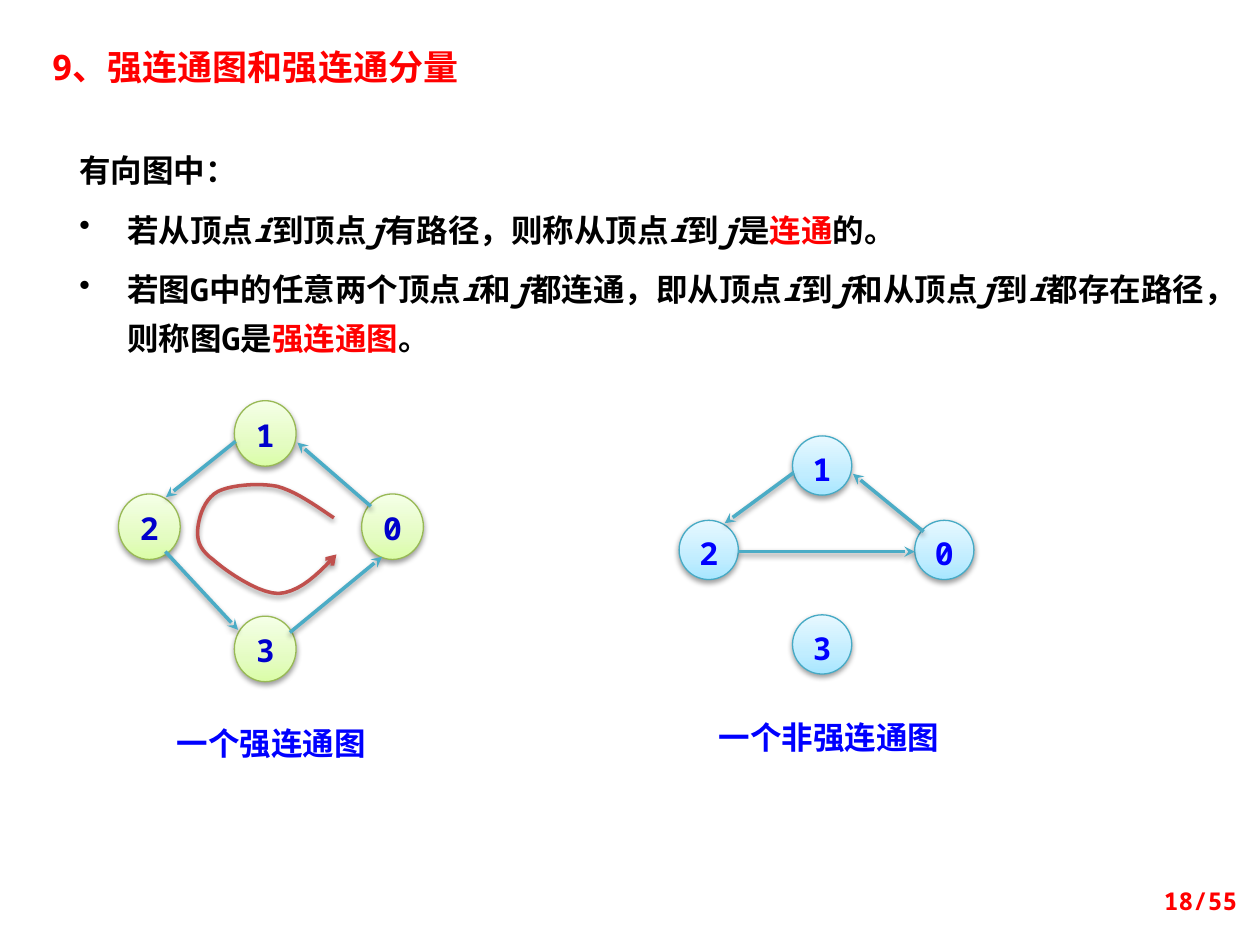
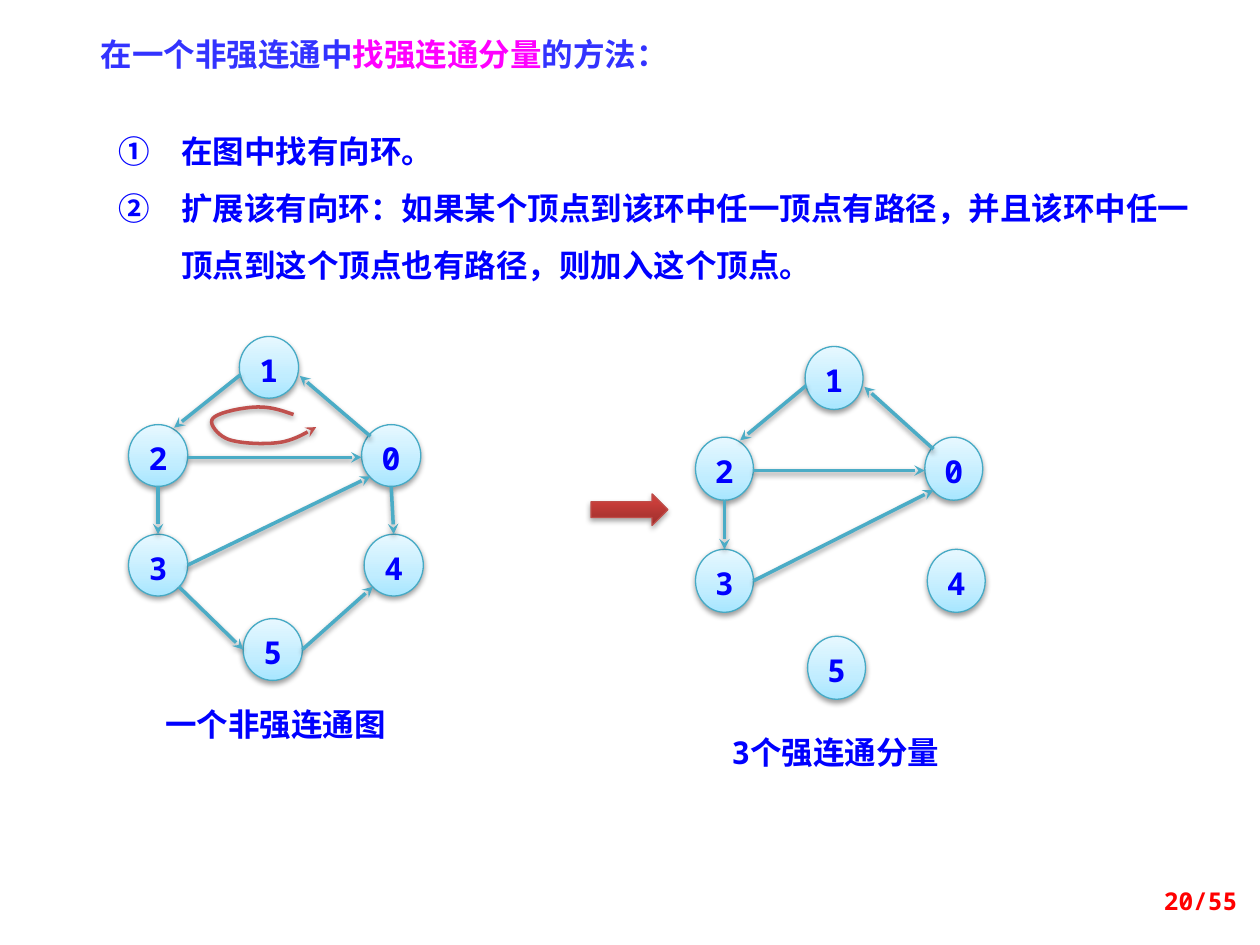
"""Build two slides about strongly connected graphs and their components."""
from copy import deepcopy

from lxml import etree
from pptx import Presentation
from pptx.dml.color import RGBColor
from pptx.enum.shapes import MSO_CONNECTOR, MSO_SHAPE
from pptx.enum.text import MSO_ANCHOR, MSO_AUTO_SIZE, PP_ALIGN
from pptx.oxml.ns import qn
from pptx.util import Inches, Pt

OVAL, RIGHT_ARROW = MSO_SHAPE.OVAL, MSO_SHAPE.RIGHT_ARROW
STRAIGHT = MSO_CONNECTOR.STRAIGHT
TOP, MIDDLE = MSO_ANCHOR.TOP, MSO_ANCHOR.MIDDLE
LEFT, CENTER, RIGHT = PP_ALIGN.LEFT, PP_ALIGN.CENTER, PP_ALIGN.RIGHT

MONO, SANS, SANS_JP, SERIF = "Noto Sans Mono", "Noto Sans CJK SC", "Noto Sans CJK JP", "Times New Roman"
RED, BLUE, BLACK, WHITE = "FF0000", "0000FF", "000000", "FFFFFF"
TEAL, BRICK = "4BACC6", "C0504D"

GREEN_NODE = {"stops": [(0, "DAFDA7"), (0.35, "E4FCC2"), (1, "F5FFE7")], "outline": "98B955", "ink": "0000CC"}
BLUE_NODE = {"stops": [(0, "A7E6FF"), (0.35, "C1EDFF"), (1, "E7F8FF")], "outline": "46AAC5", "ink": BLUE}
BRICK_STOPS = [(0, "9C2F2D"), (0.8, "CB3E3A"), (1, "CE3B37")]

# Each edge leaves and enters at fractions of its nodes' width and height.
TRIANGLE = {"12": ((0.02, 0.62), (0.77, 0.05)), "01": ((0.15, 0.19), (1.02, 0.64)),
            "20": ((1, 0.53), (0, 0.53))}
DIAMOND = {"12": TRIANGLE["12"], "01": TRIANGLE["01"],
           "23": ((0.76, 0.88), (0.06, 0.21)), "30": ((0.9, 0.25), (0.33, 0.96))}
COMPONENTS = TRIANGLE | {"23": ((0.5, 1), (0.5, 0)), "30": ((1, 0.5), (0.15, 0.84))}
SIX_NODES = COMPONENTS | {"35": ((0.85, 0.85), (0, 0.5)), "04": ((0.5, 1), (0.5, 0)),
                          "54": ((1, 0.5), (0.15, 0.85))}


def rgb(hex_code):
    """Turn a hex string into a colour."""
    return RGBColor.from_string(hex_code)


def add_shadow(shape, alpha=38, distance=20000):
    """Give a shape or connector a soft shadow straight below."""
    properties = shape._element.spPr
    for effects in properties.findall(qn("a:effectLst")):
        properties.remove(effects)
    effects = etree.SubElement(properties, qn("a:effectLst"))
    shadow = etree.SubElement(effects, qn("a:outerShdw"), blurRad="40000", dist=str(distance),
                              dir="5400000", rotWithShape="0")
    shade = etree.SubElement(shadow, qn("a:srgbClr"), val=BLACK)
    etree.SubElement(shade, qn("a:alpha"), val=str(alpha * 1000))


def fill_gradient(shape, stops, outline):
    """Fill a shape from bottom to top with three colours and outline it."""
    shape.fill.gradient()
    shape.fill.gradient_angle = 90
    stop_list = shape._element.spPr.find(".//" + qn("a:gsLst"))
    stop_list.append(deepcopy(stop_list[0]))
    for stop, (position, color) in zip(shape.fill.gradient_stops, stops):
        stop.position = position
        stop.color.rgb = rgb(color)
    shape.line.color.rgb = rgb(outline)
    shape.line.width = Pt(0.75)


def draw_line(shape, color, arrow):
    """Style a line, its arrowhead and its shadow."""
    shape.line.color.rgb = rgb(color)
    shape.line.width = Pt(2)
    etree.SubElement(shape.line._get_or_add_ln(), qn("a:tailEnd"), type=arrow)
    add_shadow(shape)


def set_bullet(paragraph, bullet, indent):
    """Hang a paragraph behind a bullet character or a circled number."""
    properties = paragraph._p.get_or_add_pPr()
    properties.set("marL", str(Inches(indent)))
    properties.set("indent", str(-Inches(indent)))
    if bullet == "•":
        etree.SubElement(properties, qn("a:buChar"), char=bullet)
    else:
        etree.SubElement(properties, qn("a:buAutoNum"), type=bullet)


def write(paragraph, text, size=18, font=MONO, color=BLACK, align=LEFT, accent=RED, accent_font=None):
    """Write text split at bars: i and j become italic, a star marks the accent."""
    paragraph.alignment = align
    style = paragraph.font
    style.size, style.bold, style.name = Pt(size), True, font
    style.color.rgb = rgb(color)
    etree.SubElement(style._element, qn("a:ea"), typeface=SANS)
    for piece in text.split("|"):
        run = paragraph.add_run()
        run.text = piece.removeprefix("*")
        if piece in ("i", "j"):
            run.font.italic = True
        if piece.startswith("*"):
            run.font.color.rgb = rgb(accent)
            if accent_font:
                run.font.name = accent_font


def place(shape, left, top, width, height):
    """Move a shape to a box given in inches."""
    shape.left, shape.top = Inches(left), Inches(top)
    shape.width, shape.height = Inches(width), Inches(height)


def add_text(slide, box, text, anchor=TOP, **style):
    """Add a text box with one paragraph."""
    frame = slide.shapes.add_textbox(*map(Inches, box)).text_frame
    frame.word_wrap = True
    frame.vertical_anchor = anchor
    write(frame.paragraphs[0], text, **style)


def add_slide(deck, title_box, title, page, **title_style):
    """Add a slide with its title and page number."""
    slide = deck.slides.add_slide(deck.slide_layouts[5])
    heading = slide.shapes.title
    place(heading, *title_box)
    frame = heading.text_frame
    frame.auto_size = MSO_AUTO_SIZE.NONE
    frame.vertical_anchor = TOP
    write(frame.paragraphs[0], title, **title_style)
    add_text(slide, (7.59, 6.95, 2.33, 0.4), f"{page}/55", MIDDLE, size=14, color=RED, align=RIGHT)
    return slide


def add_body(slide, box, lines, indent, spacing, before=0, color=BLACK):
    """Add the explanation; each line is a bullet, a font and its text."""
    body = slide.shapes.add_textbox(*map(Inches, box))
    body.fill.solid()
    body.fill.fore_color.rgb = rgb(WHITE)
    frame = body.text_frame
    frame.word_wrap = True
    frame.margin_left, frame.margin_right = Inches(0.16), Inches(0.1)
    frame.margin_top = frame.margin_bottom = Inches(0.12)
    for number, (bullet, font, text) in enumerate(lines):
        paragraph = frame.add_paragraph() if number else frame.paragraphs[0]
        if bullet:
            set_bullet(paragraph, bullet, indent)
        paragraph.line_spacing = spacing
        paragraph.space_before = Pt(before)
        write(paragraph, text, font=font, color=color, accent_font=SANS_JP)


def add_node(slide, label, corner, size, look):
    """Add a numbered graph node."""
    node = slide.shapes.add_shape(OVAL, *map(Inches, corner + size))
    fill_gradient(node, look["stops"], look["outline"])
    add_shadow(node)
    frame = node.text_frame
    frame.vertical_anchor = TOP
    frame.margin_left = frame.margin_right = frame.margin_bottom = 0
    frame.margin_top = Inches(0.12)
    frame.paragraphs[0].line_spacing = 0.72
    write(frame.paragraphs[0], label, color=look["ink"], align=CENTER)


def add_graph(slide, nodes, size, edges, look=BLUE_NODE):
    """Add a directed graph from node corners and edge anchors."""
    for label, corner in nodes.items():
        add_node(slide, label, corner, size, look)
    for ends, anchors in edges.items():
        points = [Inches(nodes[label][axis] + size[axis] * anchor[axis])
                  for label, anchor in zip(ends, anchors) for axis in (0, 1)]
        draw_line(slide.shapes.add_connector(STRAIGHT, *points), TEAL, "stealth")


def add_cycle(slide, points, arrow):
    """Trace a cycle of cubic curves through a start and triples of points."""
    outline = []
    for first in range(0, len(points) - 1, 3):
        a, b, c, d = points[first:first + 4]
        for t in (step / 10 for step in range(1, 11)):
            weights = ((1 - t) ** 3, 3 * t * (1 - t) ** 2, 3 * t * t * (1 - t), t ** 3)
            outline.append([Inches(sum(w * p[axis] for w, p in zip(weights, (a, b, c, d))))
                            for axis in (0, 1)])
    builder = slide.shapes.build_freeform(*map(Inches, points[0]))
    builder.add_line_segments(outline, close=False)
    cycle = builder.convert_to_shape()
    cycle.fill.background()
    draw_line(cycle, BRICK, arrow)


def add_definition_slide(deck):
    """Define strongly connected graphs with an example and a counterexample."""
    slide = add_slide(deck, (0.31, 0.31, 4.53, 0.44), "9、强连通图和强连通分量", 18, size=20, color=RED)
    add_body(slide, (0.47, 0.99, 9.34, 1.98), [
        (None, SANS, "有向图中："),
        ("•", MONO, "若从顶点|i|到顶点|j|有路径，则称从顶点|i|到|j|是|*连通|的。"),
        ("•", MONO, "若图G中的任意两个顶点|i|和|j|都连通，即从顶点|i|到|j|和从顶点|j|到|i|"
                    "都存在路径，则称图G是|*强连通图|。"),
    ], indent=0.38, spacing=Pt(28), before=6)
    add_graph(slide, {"1": (1.86, 3.18), "0": (2.87, 3.92), "2": (0.94, 3.92), "3": (1.86, 4.89)},
              (0.49, 0.52), DIAMOND, GREEN_NODE)
    add_text(slide, (1.17, 5.7, 1.97, 0.4), "一个强连通图", color=BLUE, align=CENTER)
    add_graph(slide, {"1": (6.29, 3.46), "0": (7.26, 4.13), "2": (5.39, 4.13), "3": (6.29, 4.88)},
              (0.47, 0.47), TRIANGLE)
    add_text(slide, (5.55, 5.65, 2.06, 0.44), "一个非强连通图", color=BLUE, align=CENTER)
    add_cycle(slide, [(2.65, 4.11), (2.5, 4.01), (2.35, 3.9), (2.2, 3.86), (2.05, 3.83), (1.83, 3.85),
                      (1.73, 3.9), (1.62, 3.96), (1.58, 4.1), (1.57, 4.19), (1.56, 4.28), (1.58, 4.36),
                      (1.69, 4.44), (1.79, 4.53), (2.05, 4.71), (2.21, 4.71), (2.38, 4.7),
                      (2.53, 4.55), (2.67, 4.4)], "arrow")


def add_method_slide(deck):
    """Show how to find the strongly connected components."""
    slide = add_slide(deck, (0.7, 0.23, 5.23, 0.4), "在一个非强连通中|*找强连通分量|的方法：", 20,
                      font=SERIF, color="3333FF", accent="FF00FF")
    circled = "circleNumDbPlain"
    add_body(slide, (0.78, 0.78, 8.91, 1.6), [
        (circled, MONO, "在图中找有向环。"),
        (circled, MONO, "扩展该有向环：如果某个顶点到该环中任一顶点有路径，"
                        "并且该环中任一顶点到这个顶点也有路径，则加入这个顶点。"),
    ], indent=0.5, spacing=1.5, color=BLUE)
    add_cycle(slide, [(2.33, 3.29), (2.24, 3.26), (2.16, 3.23), (2.05, 3.23), (1.95, 3.23), (1.73, 3.27),
                      (1.69, 3.32), (1.65, 3.36), (1.73, 3.46), (1.82, 3.49), (1.91, 3.52),
                      (2.11, 3.53), (2.23, 3.51), (2.34, 3.49), (2.42, 3.44), (2.51, 3.39)], "stealth")
    add_graph(slide, {"1": (1.9, 2.67), "0": (2.87, 3.37), "2": (1.02, 3.37), "3": (1.02, 4.24),
                      "4": (2.89, 4.24), "5": (1.93, 4.91)}, (0.47, 0.49), SIX_NODES)
    add_text(slide, (1.09, 5.55, 2.19, 0.4), "一个非强连通图", font=SANS, color=BLUE, align=CENTER)
    add_graph(slide, {"1": (6.39, 2.75), "0": (7.34, 3.47), "2": (5.52, 3.47), "3": (5.52, 4.36),
                      "4": (7.36, 4.36), "5": (6.41, 5.05)}, (0.46, 0.5), COMPONENTS)
    add_text(slide, (5.6, 5.77, 2.06, 0.4), "3个强连通分量", color=BLUE, align=CENTER)
    becomes = slide.shapes.add_shape(RIGHT_ARROW, *map(Inches, (4.69, 3.92, 0.61, 0.25)))
    fill_gradient(becomes, BRICK_STOPS, "BF4C48")
    add_shadow(becomes, alpha=35, distance=23000)


def main():
    """Build and save the deck."""
    deck = Presentation()
    deck.slide_width, deck.slide_height = Inches(10), Inches(7.5)
    add_definition_slide(deck)
    add_method_slide(deck)
    deck.save("out.pptx")


if __name__ == "__main__":
    main()
